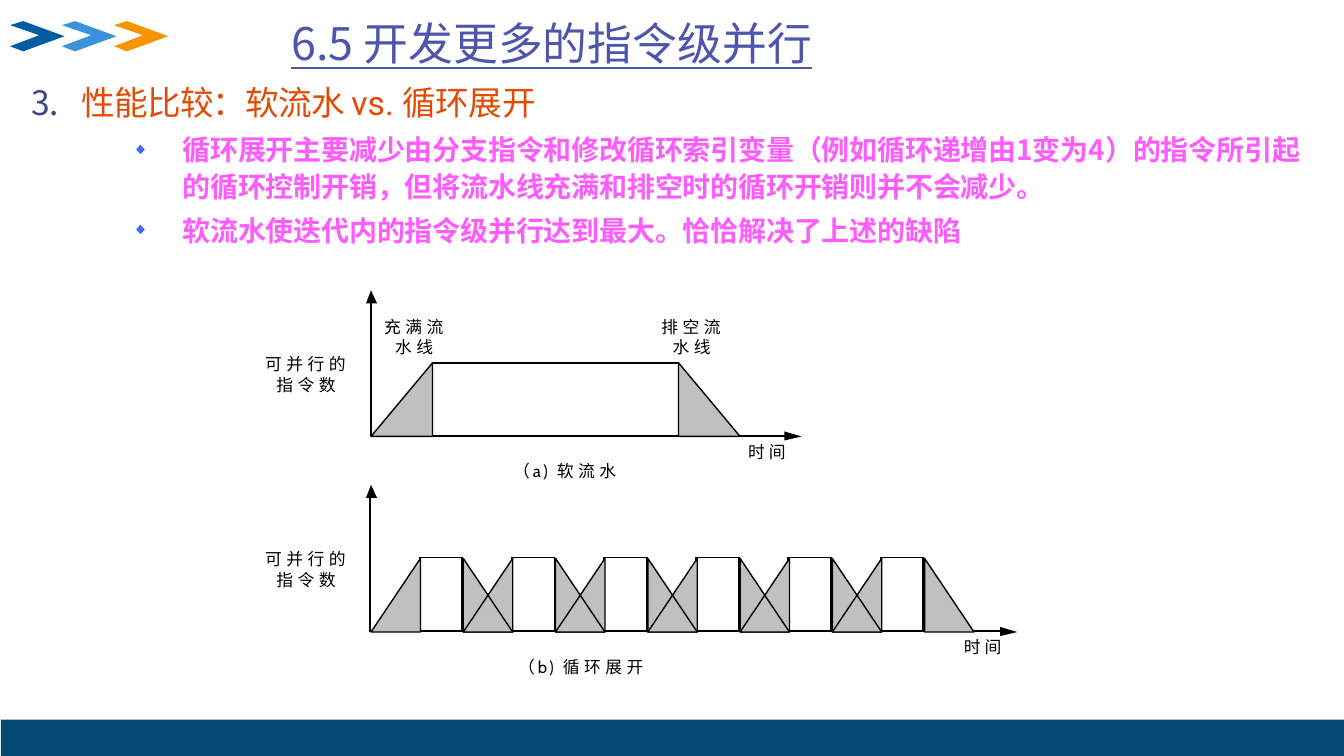
import dataclasses

import lxml.etree
import pptx
import pptx.dml.color
import pptx.enum.shapes
import pptx.enum.text
import pptx.oxml.ns
import pptx.util

Inches = pptx.util.Inches
Pt = pptx.util.Pt
qn = pptx.oxml.ns.qn


@dataclasses.dataclass(frozen=True)
class Theme:
    cjk: str = "Noto Sans CJK SC"
    latin: str = "Roboto"
    caption: str = "Cabin"
    title: str = "4F55AC"
    number: str = "40458B"
    heading: str = "E14B04"
    point: str = "FF5CFF"
    diamond: str = "4668F5"
    ink: str = "000000"
    shade: str = "C0C0C0"
    footer: str = "044775"
    chevrons: tuple = ("005DA1", "3992DB", "F79500")
    title_size: int = 32
    heading_size: int = 24
    point_size: int = 20
    label_size: int = 12


THEME = Theme()
NO_STYLE = "{2D5ABB26-0587-4C30-8999-92F81FD0307C}"


def rgb(value):
    return pptx.dml.color.RGBColor.from_string(value)


def child(parent, tag, **attributes):
    element = lxml.etree.SubElement(parent, qn(tag))
    for name, value in attributes.items():
        element.set(name, str(value))
    return element


def add_span(para, text, size, colour, font=THEME.cjk, spacing=0, **formats):
    span = para.add_run()
    span.text = text
    for name, value in {"name": font, "size": Pt(size), **formats}.items():
        setattr(span.font, name, value)
    span.font.color.rgb = rgb(colour)
    properties = span._r.get_or_add_rPr()
    properties.set("spc", str(round(spacing * 100)))
    child(properties, "a:ea", typeface=font)


def prepare_frame(shape, top):
    frame = shape.text_frame
    settings = {
        "word_wrap": True, "auto_size": pptx.enum.text.MSO_AUTO_SIZE.NONE,
        "vertical_anchor": pptx.enum.text.MSO_ANCHOR.TOP,
        "margin_left": 0, "margin_right": 0, "margin_bottom": 0, "margin_top": Inches(top),
    }
    for name, value in settings.items():
        setattr(frame, name, value)
    return frame


def place(shape, box):
    for name, value in zip(("left", "top", "width", "height"), box):
        setattr(shape, name, Inches(value))


def indent(para, margin, first):
    properties = para._p.get_or_add_pPr()
    properties.set("marL", str(Inches(margin)))
    properties.set("indent", str(Inches(first)))
    return properties


def set_bullet(para, margin, colour, kind, percent=100, **attributes):
    properties = indent(para, margin, -0.5)
    child(child(properties, "a:buClr"), "a:srgbClr", val=colour)
    child(properties, "a:buSzPct", val=percent * 1000)
    child(properties, kind, **attributes)


def paint(shape, fill=None, line=None):
    shape.shadow.inherit = False
    if fill:
        shape.fill.solid()
        shape.fill.fore_color.rgb = rgb(fill)
    else:
        shape.fill.background()
    if line:
        shape.line.color.rgb = rgb(THEME.ink)
        shape.line.width = Pt(line)
    else:
        shape.line.fill.background()


def add_polygon(page, points, fill, line=None):
    corners = [(Inches(x), Inches(y)) for x, y in points]
    builder = page.shapes.build_freeform(*corners[0], scale=1.0)
    builder.add_line_segments(corners[1:], close=True)
    paint(builder.convert_to_shape(), fill, line)


def add_rectangle(page, box, fill=None, line=None):
    kind = pptx.enum.shapes.MSO_SHAPE.RECTANGLE
    paint(page.shapes.add_shape(kind, *map(Inches, box)), fill, line)


def add_line(page, start, end, width):
    kind = pptx.enum.shapes.MSO_CONNECTOR.STRAIGHT
    line = page.shapes.add_connector(kind, *map(Inches, (*start, *end)))
    line.line.color.rgb = rgb(THEME.ink)
    line.line.width = Pt(width)
    child(line._element.spPr, "a:effectLst")


def add_arrowheads(page, x, top, right, y):
    add_polygon(page, [(x, top), (x - 0.05, top + 0.13), (x + 0.06, top + 0.13)], THEME.ink)
    add_polygon(page, [(right, y), (right - 0.17, y - 0.05), (right - 0.17, y + 0.04)], THEME.ink)


def add_ramp(page, foot, peak, base, height):
    points = [(foot, base), (peak, base - height), (peak, base)]
    add_polygon(page, points, THEME.shade, 1)


def add_label(page, box, spans, hanging=False):
    frame = prepare_frame(page.shapes.add_textbox(*map(Inches, box)), 0.01)
    para = frame.paragraphs[0]
    if hanging:
        indent(para, 0.12, -0.11)
        para.line_spacing = 1.04
    for text, font, spacing in spans:
        add_span(para, text, THEME.label_size, THEME.ink, font, spacing)


def add_axis_labels(page, x, base, time_x, caption_x, letter, caption):
    add_label(page, (x - 1.06, base - 0.84, 0.89, 0.44), [("可并行的指令数", THEME.cjk, 3.2)], True)
    add_label(page, (time_x, base + 0.04, 0.45, 0.23), [("时间", THEME.cjk, 2.8)])
    spans = [("（", THEME.cjk, 2), (f"{letter}) ", THEME.caption, 1.9), (caption, THEME.cjk, 3.2)]
    add_label(page, (caption_x, base + 0.235, 1.4, 0.23), spans)


def add_decoration(page, box):
    left, top, width, height = box
    for index, colour in enumerate(THEME.chevrons):
        x = left + 0.515 * index
        outline = [(0.13, 0), (0, 0.04), (0.29, 0.14), (0, 0.25), (0.13, 0.3), (0.54, 0.15)]
        add_polygon(page, [(x + dx, top + dy) for dx, dy in outline], colour)
    add_rectangle(page, (0.01, height - 0.36, width - 0.01, 0.36), THEME.footer)


def add_title(page, box):
    title = page.shapes.title
    place(title, box)
    para = prepare_frame(title, 0.02).paragraphs[0]
    para.alignment = pptx.enum.text.PP_ALIGN.LEFT
    indent(para, 1.36, 0)
    add_span(para, "6.5 开发更多的指令级并行", THEME.title_size, THEME.title, underline=True)


def add_points(page, box):
    body = page.placeholders[1]
    place(body, box)
    frame = prepare_frame(body, 0.14)
    heading = frame.paragraphs[0]
    heading.space_before = Pt(0)
    set_bullet(heading, 0.51, THEME.number, "a:buAutoNum", type="arabicPeriod", startAt=3)
    for text, font, spacing in [("性能比较：软流水 ", THEME.cjk, -0.6), ("vs. ", THEME.latin, 0),
                                ("循环展开", THEME.cjk, -0.2)]:
        add_span(heading, text, THEME.heading_size, THEME.heading, font, spacing)
    points = [
        ("循环展开主要减少由分支指令和修改循环索引变量（例如循环递增由1变为4）的指令所引起的循环控制开销，"
         "但将流水线充满和排空时的循环开销则并不会减少。", 1.1, 5.3),
        ("软流水使迭代内的指令级并行达到最大。恰恰解决了上述的缺陷", 1.0, 7.2),
    ]
    for text, line_spacing, before in points:
        para = frame.add_paragraph()
        para.level = 1
        para.line_spacing = line_spacing
        para.space_before = Pt(before)
        set_bullet(para, 1.51, THEME.diamond, "a:buChar", 60, char="◆")
        add_span(para, text, THEME.point_size, THEME.point, spacing=-0.2, bold=True)


def add_software_pipeline(page, box):
    x, top, width, height = box
    base, rise, ramp, plateau = top + height, 0.73, 0.61, 2.44
    start, end = x + ramp, x + ramp + plateau
    add_line(page, (x, base), (x, top + 0.12), 1.86)
    add_line(page, (x, base), (x + width - 0.15, base), 1.48)
    add_arrowheads(page, x, top, x + width, base)
    add_ramp(page, x, start, base, rise)
    add_rectangle(page, (start, base - rise, plateau, rise), line=1)
    add_ramp(page, end + ramp, end, base, rise)
    for left, text in [(x + 0.12, "充满流水线"), (x + 2.87, "排空流水线")]:
        add_label(page, (left, top + 0.24, 0.68, 0.44), [(text, THEME.cjk, 3.2)], True)
    add_axis_labels(page, x, base, x + 3.74, x + 1.41, "a", "软流水")


def set_borders(cell, **widths):
    properties = cell._tc.get_or_add_tcPr()
    for side in "LRTB":
        if side in widths:
            line = child(properties, f"a:ln{side}", w=Pt(widths[side]))
            child(child(line, "a:solidFill"), "a:srgbClr", val=THEME.ink)
    cell.fill.background()


def add_loop_unrolling(page, box):
    x, top, width, height = box
    base, rise, ramp, loops = top + height, 0.73, 0.49, 6
    pitch = 5.49 / loops
    columns = [ramp, pitch - ramp] * loops + [0.76]
    frame = page.shapes.add_table(2, len(columns), *map(Inches, (x - 0.01, top + 0.12, sum(columns), 1.33)))
    table = frame.table
    table.first_row = table.horz_banding = False
    table._tbl.tblPr.find(qn("a:tableStyleId")).text = NO_STYLE
    for column, size in zip(table.columns, columns):
        column.width = Inches(size)
    for row, size in zip(table.rows, (0.6, rise)):
        row.height = Inches(size)
    table.cell(0, 0).merge(table.cell(0, len(columns) - 1))
    set_borders(table.cell(0, 0), L=2.25)
    for index in range(len(columns)):
        sides = {"L": 1.5 if index else 2.25, "B": 1.5}
        if index < len(columns) - 1:
            sides["R"] = 1.5
        if index % 2:
            sides["T"] = 1.5
        set_borders(table.cell(1, index), **sides)
    add_arrowheads(page, x, top, x + width, base)
    for index in range(loops + 1):
        left = x + pitch * index
        if index > 0:
            add_ramp(page, left + ramp, left, base, rise)
        if index < loops:
            add_ramp(page, left, left + ramp, base, rise)
        if 0 < index < loops:
            add_line(page, (left + ramp / 2, base - rise / 2), (left + ramp, base), 1)
    add_axis_labels(page, x, base, x + 5.88, x + 1.46, "b", "循环展开")


def main():
    deck = pptx.Presentation()
    deck.slide_width, deck.slide_height = Inches(13.33), Inches(7.5)
    page = deck.slides.add_slide(deck.slide_layouts[1])
    add_decoration(page, (0.1, 0.21, 13.33, 7.5))
    add_title(page, (1.53, 0.14, 11.8, 0.56))
    add_points(page, (0.3, 0.67, 12.71, 1.8))
    add_software_pipeline(page, (3.68, 2.88, 4.27, 1.45))
    add_loop_unrolling(page, (3.68, 4.81, 6.41, 1.46))
    deck.save("out.pptx")


if __name__ == "__main__":
    main()
